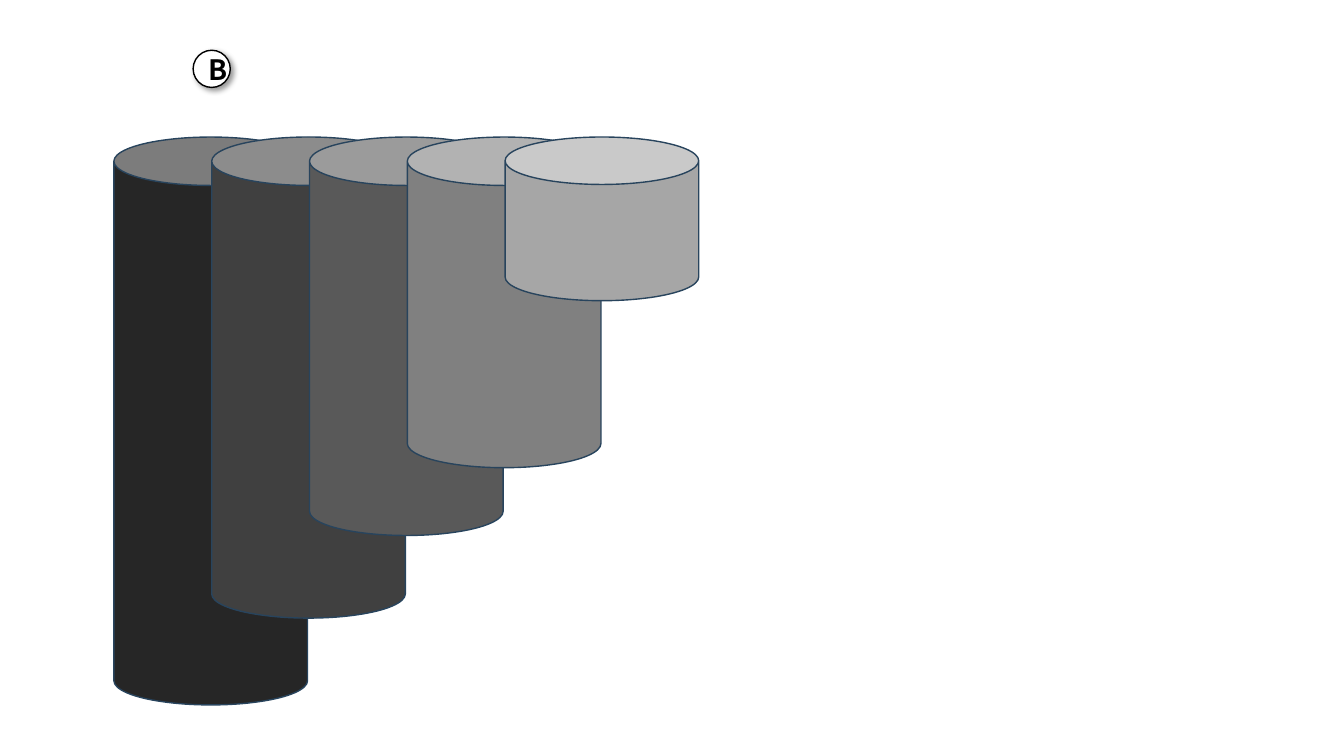
import pptx
import pptx.util
import pptx.dml.color
import pptx.enum.shapes
import pptx.enum.text
import lxml.etree

RGBColor = pptx.dml.color.RGBColor
BLACK = RGBColor(0, 0, 0)
WHITE = RGBColor(255, 255, 255)
NAVY = RGBColor(0x28, 0x44, 0x5D)
GRAYS = [RGBColor(v, v, v) for v in (0x26, 0x40, 0x59, 0x80, 0xA6)]

KINDS = pptx.enum.shapes.MSO_SHAPE
EDGE, TOP = 1.13, 1.36
COL, ROW = 0.97, 0.82
WIDTH = 1.98
DEPTHS = (6.87, 5.82, 4.82, 4, 1.98)
CAPS = (0.25, 0.25, 0.25, 0.25, 0.29)
FONT = {"name": "Noto Sans CJK JP", "size": pptx.util.Pt(20), "bold": True}
FRAME = {"word_wrap": True, "vertical_anchor": pptx.enum.text.MSO_ANCHOR.MIDDLE}
SHADE = (
    '<a:outerShdw xmlns:a="http://schemas.openxmlformats.org/drawingml/2006/main" '
    'blurRad="50800" dist="38100" dir="2700000" algn="tl" rotWithShape="0">'
    '<a:srgbClr val="000000"><a:alpha val="40000"/></a:srgbClr></a:outerShdw>'
)


def style(item, looks):
    for key, value in looks.items():
        setattr(item, key, value)


def add_form(slide, kind, col, row, wide, high, fill, line):
    box = (EDGE + col * COL, TOP + row * ROW, wide * COL, high * ROW)
    form = slide.shapes.add_shape(kind, *map(pptx.util.Inches, box))
    form.shadow.inherit = False
    form.fill.solid()
    form.fill.fore_color.rgb = fill
    form.line.color.rgb = line
    form.line.width = pptx.util.Pt(1)
    return form


def add_can(slide, col, depth, cap, gray):
    can = add_form(slide, KINDS.CAN, col, 0, WIDTH, depth, gray, NAVY)
    can.adjustments[0] = cap


def add_badge(slide, col, row, text):
    badge = add_form(slide, KINDS.OVAL, col, row, 0.38, 0.45, WHITE, BLACK)
    shade = badge.element.spPr.find(pptx.oxml.ns.qn("a:effectLst"))
    shade.append(lxml.etree.fromstring(SHADE))
    style(badge.text_frame, FRAME)
    para = badge.text_frame.paragraphs[0]
    para.alignment = pptx.enum.text.PP_ALIGN.CENTER
    run = para.add_run()
    run.text = text
    style(run.font, FONT)
    run.font.color.rgb = BLACK


def main():
    deck = pptx.Presentation()
    deck.slide_width = pptx.util.Inches(13.33)
    deck.slide_height = pptx.util.Inches(7.5)
    slide = deck.slides.add_slide(deck.slide_layouts[6])
    for col, (depth, cap, gray) in enumerate(zip(DEPTHS, CAPS, GRAYS)):
        add_can(slide, col, depth, cap, gray)
    add_badge(slide, 0.81, -1.05, "B")
    deck.save("out.pptx")


if __name__ == "__main__":
    main()
